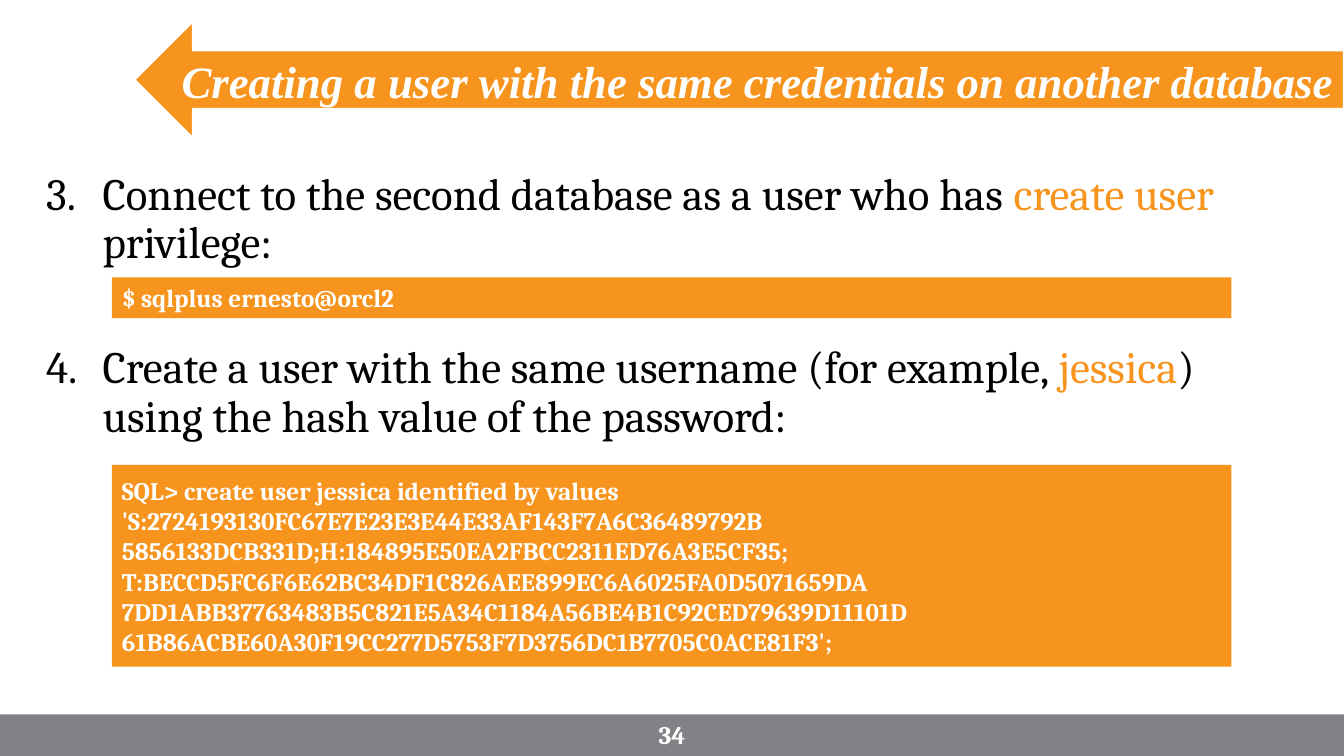
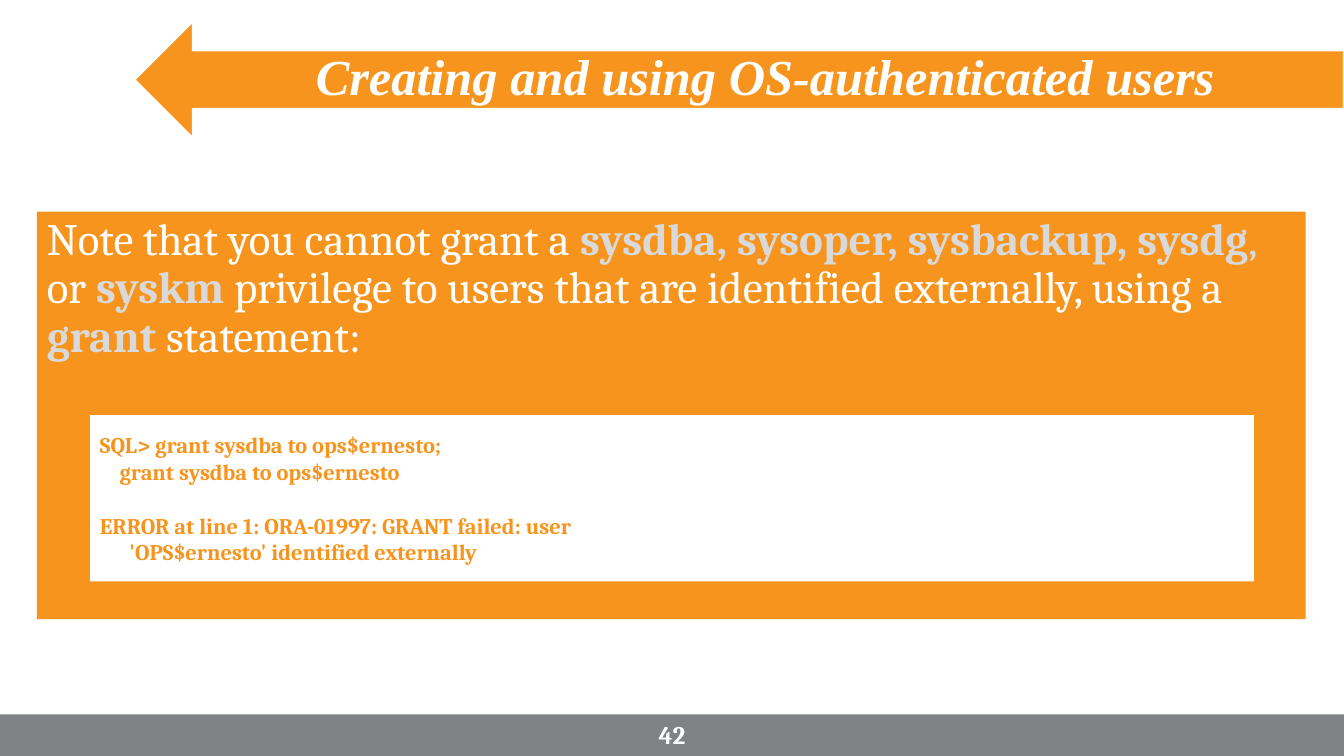
from lxml import etree
from pptx import Presentation, util as u
from pptx.dml import color
from pptx.enum import shapes, text
from pptx.oxml import ns

ORANGE, GRAY, PALE = "F7941D", "818286", "D9D9D9"
WHITE, BLACK = "FFFFFF", "000000"
BODY, HEAD = "Cambria", "Times New Roman"
LEFT, MID = text.PP_ALIGN.LEFT, text.PP_ALIGN.CENTER


def rgb(code):
    return color.RGBColor.from_string(code)


class Deck:
    def __init__(self):
        self.prs = Presentation()
        self.prs.slide_width = u.Inches(13.33)
        self.prs.slide_height = u.Inches(7.5)
        self.base = self.prs.slide_layouts[5]
        self.slide = None

    def area(self, x, y, w, h):
        wide, high = self.prs.slide_width, self.prs.slide_height
        return [round(size * part / 100) for size, part in
                ((wide, x), (high, y), (wide, w), (high, h))]

    def page(self, title, box, size, number):
        self.slide = self.prs.slides.add_slide(self.base)
        head = self.slide.shapes.title
        head.left, head.top, head.width, head.height = self.area(*box)
        head.text_frame.text = title
        self.frame(head)
        para = head.text_frame.paragraphs[0]
        para.line_spacing = 0.9
        self.style(para, size, WHITE, True, MID, HEAD)
        para.font.italic = True
        foot = self.label((47.2, 94.5, 5.6, 5.4))
        foot.text_frame.text = number
        self.style(foot.text_frame.paragraphs[0], 18, WHITE, True, MID)

    def frame(self, shape, anchor=text.MSO_ANCHOR.MIDDLE):
        body = shape.text_frame
        body.word_wrap = True
        body.auto_size = text.MSO_AUTO_SIZE.NONE
        body.vertical_anchor = anchor

    def style(self, para, size, tint, bold=False, align=LEFT, font=BODY):
        para.alignment = align
        para.font.size = u.Pt(size)
        para.font.name = font
        para.font.bold = bold
        para.font.color.rgb = rgb(tint)

    def label(self, box, anchor=text.MSO_ANCHOR.MIDDLE):
        shape = self.slide.shapes.add_textbox(*self.area(*box))
        self.frame(shape, anchor)
        return shape

    def block(self, box, fill, kind=shapes.MSO_SHAPE.RECTANGLE):
        shape = self.slide.shapes.add_shape(kind, *self.area(*box))
        shape.shadow.inherit = False
        shape.fill.solid()
        shape.fill.fore_color.rgb = rgb(fill)
        shape.line.fill.background()
        return shape

    def bands(self):
        arrow = self.block((10, 2.8, 90, 15.5), ORANGE,
                           shapes.MSO_SHAPE.LEFT_ARROW)
        arrow.line.color.rgb = rgb(WHITE)
        arrow.line.width = u.Pt(1.5)
        foot = self.block((0, 94.5, 100, 5.5), GRAY)
        for band in (arrow, foot):
            self.base.element.cSld.spTree.append(band.element)

    def rich(self, para, parts, tint):
        para.line_spacing = 0.9
        self.style(para, 32, tint)
        for words, hue, bold in parts:
            run = para.add_run()
            run.text = words
            run.font.color.rgb = rgb(hue)
            run.font.bold = bold

    def steps(self, box, items, start, gap):
        body = self.label(box, text.MSO_ANCHOR.TOP).text_frame
        for place, parts in enumerate(items):
            para = body.add_paragraph() if place else body.paragraphs[0]
            props = para._p.get_or_add_pPr()
            indent = u.Inches(0.56)
            props.set("marL", str(indent))
            props.set("indent", str(-indent))
            mark = etree.SubElement(props, ns.qn("a:buAutoNum"))
            mark.set("type", "arabicPeriod")
            mark.set("startAt", str(start))
            self.rich(para, parts, BLACK)
            if place:
                para.space_before = u.Pt(gap)

    def note(self, box, parts):
        shape = self.block(box, ORANGE)
        self.frame(shape, text.MSO_ANCHOR.TOP)
        shape.text_frame.margin_right = u.Inches(0.25)
        self.rich(shape.text_frame.paragraphs[0], parts, WHITE)

    def code(self, box, lines, size, fill, tint, breaks=()):
        shape = self.block(box, fill)
        self.frame(shape)
        shape.text_frame.text = "\n".join(lines)
        for row, para in enumerate(shape.text_frame.paragraphs):
            self.style(para, size, tint, True)
            if row in breaks:
                para.space_before = u.Pt(size * 1.2)


def main():
    deck = Deck()
    deck.page("Creating a user with the same credentials on another database",
              (11.9, 6.3, 89, 9.6), 32, "34")
    deck.bands()
    deck.steps((2.7, 22, 94.4, 63.5), [
        [("Connect to the second database as a user who has ", BLACK, False),
         ("create user ", ORANGE, False),
         ("privilege:", BLACK, False)],
        [("Create a user with the same username (for example, ", BLACK, False),
         ("jessica", ORANGE, False),
         (") using the hash value of the password:", BLACK, False)],
    ], 3, 55)
    deck.code((8.33, 36.7, 83.3, 5.4), ["$ sqlplus ernesto@orcl2"],
              18, ORANGE, WHITE)
    deck.code((8.33, 61.5, 83.3, 26.7), [
        "SQL> create user jessica identified by values",
        "'S:2724193130FC67E7E23E3E44E33AF143F7A6C36489792B",
        "5856133DCB331D;H:184895E50EA2FBCC2311ED76A3E5CF35;",
        "T:BECCD5FC6F6E62BC34DF1C826AEE899EC6A6025FA0D5071659DA",
        "7DD1ABB37763483B5C821E5A34C1184A56BE4B1C92CED79639D11101D",
        "61B86ACBE60A30F19CC277D5753F7D3756DC1B7705C0ACE81F3';",
    ], 18, ORANGE, WHITE)

    deck.page("Creating and using OS-authenticated users",
              (12.45, 5.7, 89, 9.6), 36, "42")
    deck.note((2.75, 28, 94.4, 53.9), [
        ("Note that you cannot grant a ", WHITE, False),
        ("sysdba, sysoper, sysbackup, sysdg", PALE, True),
        (", ", PALE, False),
        ("or ", WHITE, False),
        ("syskm ", PALE, True),
        ("privilege to users that are identified externally, using a ",
         WHITE, False),
        ("grant ", PALE, True),
        ("statement:", WHITE, False),
    ])
    deck.code((6.7, 54.9, 86.6, 22), [
        "SQL> grant sysdba to ops$ernesto;",
        "    grant sysdba to ops$ernesto",
        "ERROR at line 1: ORA-01997: GRANT failed: user",
        "      'OPS$ernesto' identified externally",
    ], 16, WHITE, ORANGE, breaks=(2,))
    deck.prs.save("out.pptx")


if __name__ == "__main__":
    main()
